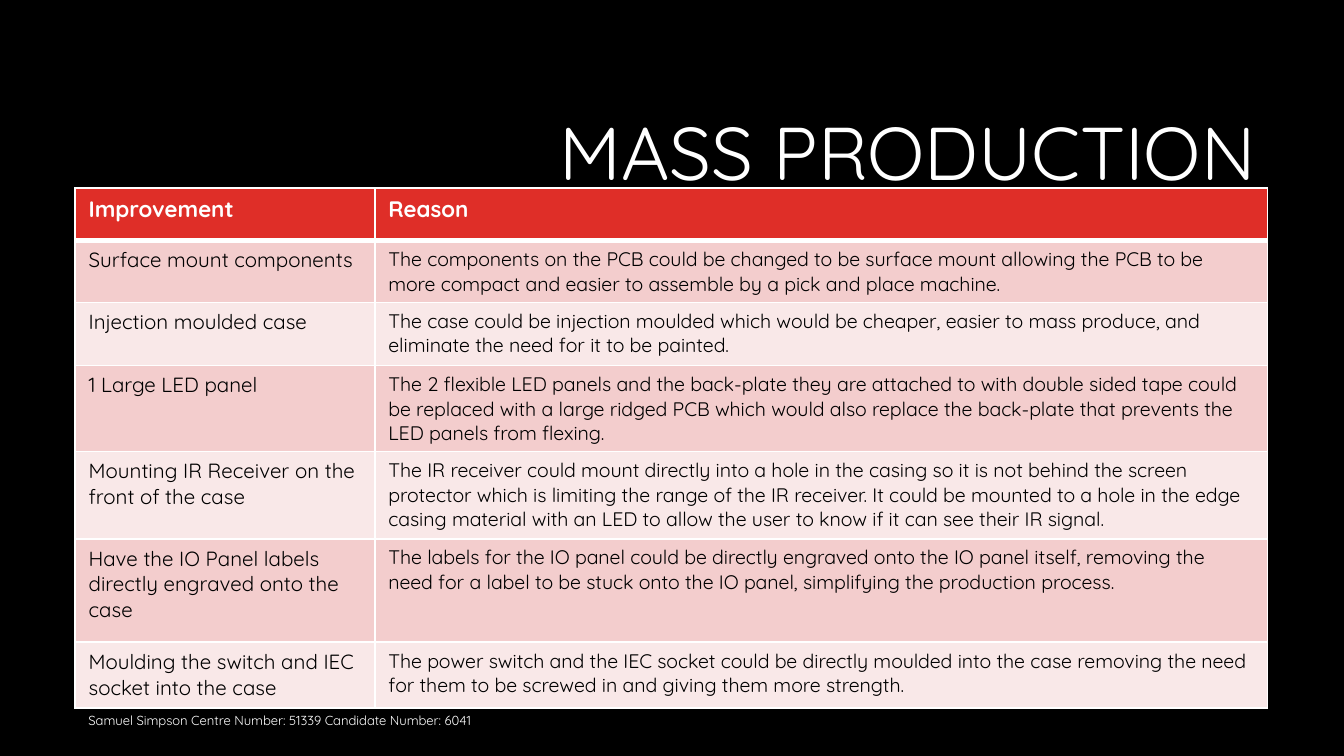
from lxml import etree
from pptx import Presentation
from pptx.dml.color import RGBColor
from pptx.enum import text
from pptx.oxml import ns
from pptx.util import Inches, Pt

FONT = "Quicksand"
BLACK = RGBColor(0x00, 0x00, 0x00)
WHITE = RGBColor(0xFF, 0xFF, 0xFF)
RED = RGBColor(0xDF, 0x2E, 0x28)
ROW_FILLS = (RGBColor(0xF3, 0xCD, 0xCD), RGBColor(0xF9, 0xE8, 0xE8))

COL_WIDTHS = (2.23, 6.64)
ROW_HEIGHTS = (0.39, 0.46, 0.47, 0.64, 0.65, 0.77, 0.49)
HEADER = ("Improvement", "Reason")
IMPROVEMENTS = (
    ("Surface mount components",
     "The components on the PCB could be changed to be surface mount allowing "
     "the PCB to be more compact and easier to assemble by a pick and place machine."),
    ("Injection moulded case",
     "The case could be injection moulded which would be cheaper, easier to mass "
     "produce, and eliminate the need for it to be painted."),
    ("1 Large LED panel",
     "The 2 flexible LED panels and the back-plate they are attached to with double "
     "sided tape could be replaced with a large ridged PCB which would also replace "
     "the back-plate that prevents the LED panels from flexing."),
    ("Mounting IR Receiver on the front of the case",
     "The IR receiver could mount directly into a hole in the casing so it is not "
     "behind the screen protector which is limiting the range of the IR receiver. It "
     "could be mounted to a hole in the edge casing material with an LED to allow the "
     "user to know if it can see their IR signal."),
    ("Have the IO Panel labels directly engraved onto the case",
     "The labels for the IO panel could be directly engraved onto the IO panel itself, "
     "removing the need for a label to be stuck onto the IO panel, simplifying the "
     "production process."),
    ("Moulding the switch and IEC socket into the case",
     "The power switch and the IEC socket could be directly moulded into the case "
     "removing the need for them to be screwed in and giving them more strength."),
)


def add_run(p, words, size, color, bold=False):
    r = p.add_run()
    r.text = words
    r.font.name = FONT
    r.font.size = Pt(size)
    r.font.bold = bold
    r.font.color.rgb = color


def add_text(slide, box, words, size, align=text.PP_ALIGN.LEFT, spacing=1.0):
    tf = slide.shapes.add_textbox(*map(Inches, box)).text_frame
    tf.word_wrap = True
    tf.vertical_anchor = text.MSO_ANCHOR.MIDDLE
    p = tf.paragraphs[0]
    p.alignment = align
    p.line_spacing = spacing
    add_run(p, words, size, WHITE)


def set_borders(cell, top, bottom):
    """Draw white borders; the side lines are always 1 pt."""
    tc_pr = cell._tc.get_or_add_tcPr()
    for side, width in (("L", 1), ("R", 1), ("T", top), ("B", bottom)):
        ln = etree.SubElement(tc_pr, ns.qn(f"a:ln{side}"), w=str(Pt(width)))
        fill = etree.SubElement(ln, ns.qn("a:solidFill"))
        etree.SubElement(fill, ns.qn("a:srgbClr"), val=str(WHITE))


def fill_cell(cell, words, size, color, fill, bold=False, top=1, bottom=1):
    set_borders(cell, top, bottom)
    cell.fill.solid()
    cell.fill.fore_color.rgb = fill
    add_run(cell.text_frame.paragraphs[0], words, size, color, bold)


def add_improvement_table(slide):
    box = map(Inches, (0.56, 1.4, sum(COL_WIDTHS), sum(ROW_HEIGHTS)))
    table = slide.shapes.add_table(len(ROW_HEIGHTS), len(COL_WIDTHS), *box).table
    for col, width in zip(table.columns, COL_WIDTHS):
        col.width = Inches(width)
    for row, height in zip(table.rows, ROW_HEIGHTS):
        row.height = Inches(height)
    for c, words in enumerate(HEADER):
        fill_cell(table.cell(0, c), words, 12, WHITE, RED, bold=True, bottom=3)
    for i, improvement in enumerate(IMPROVEMENTS):
        for c, (words, size) in enumerate(zip(improvement, (11, 10.5))):
            fill_cell(table.cell(i + 1, c), words, size, BLACK, ROW_FILLS[i % 2],
                      top=1 if i else 3)


def main():
    prs = Presentation()
    prs.slide_width = Inches(10)
    prs.slide_height = prs.slide_width * 9 // 16
    slide = prs.slides.add_slide(prs.slide_layouts[6])
    slide.background.fill.solid()
    slide.background.fill.fore_color.rgb = BLACK
    add_text(slide, (2.38, 0.63, 7.06, 1.06), "MASS PRODUCTION", 40,
             text.PP_ALIGN.RIGHT, 0.9)
    add_improvement_table(slide)
    add_text(slide, (0.56, 5.21, 6.38, 0.3),
             "Samuel Simpson Centre Number: 51339 Candidate Number: 6041", 7)
    prs.save("out.pptx")


if __name__ == "__main__":
    main()
